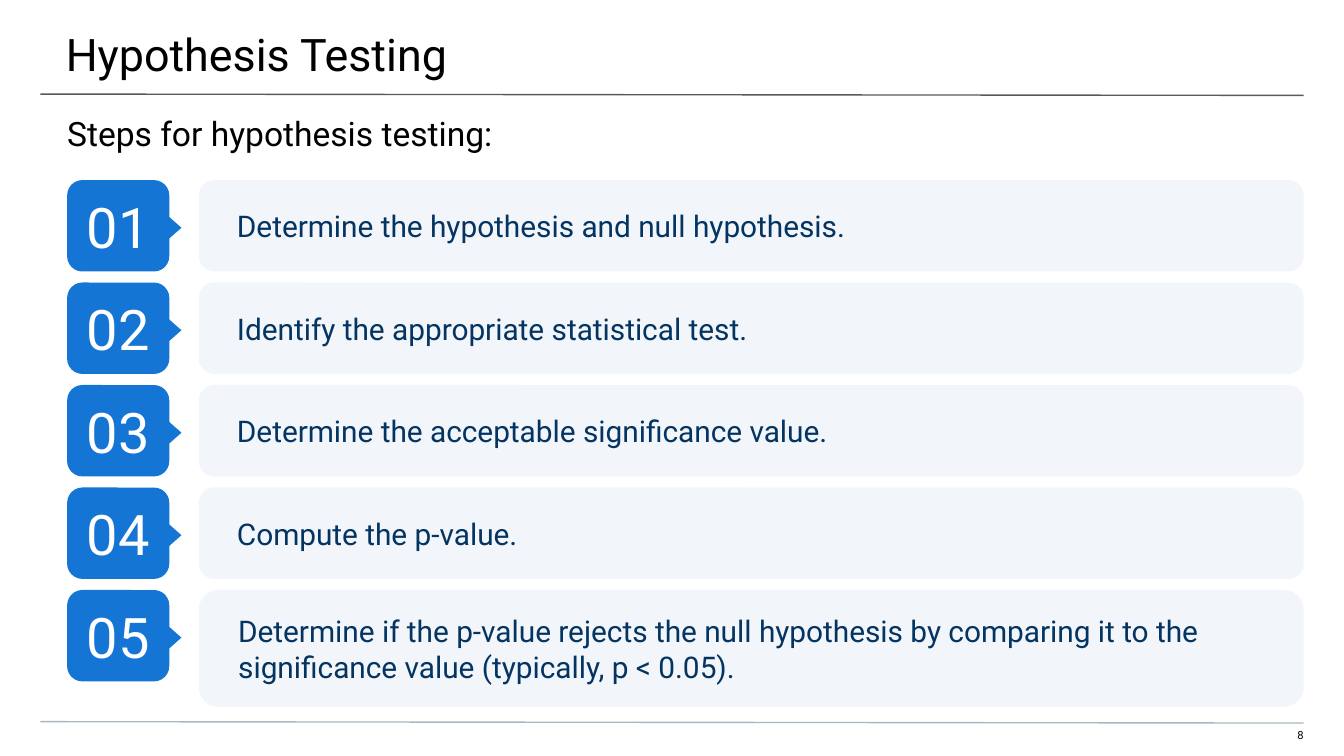
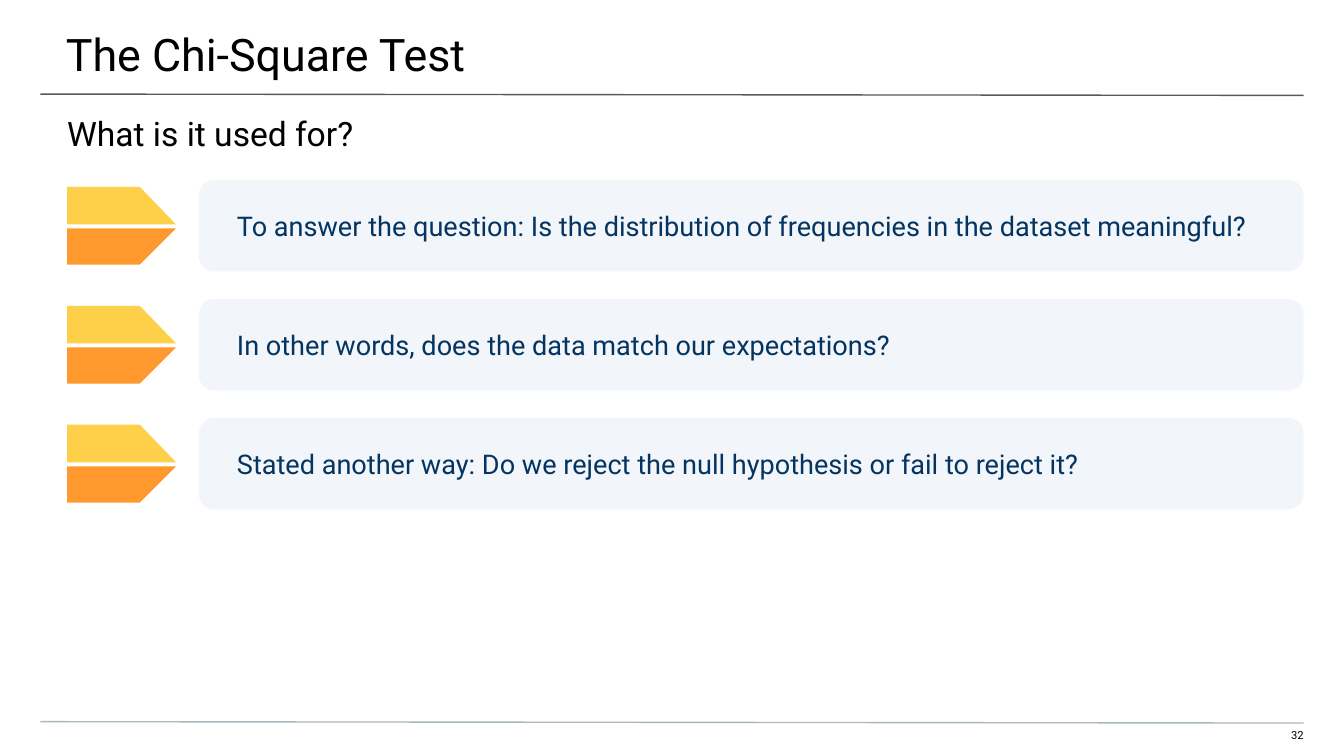
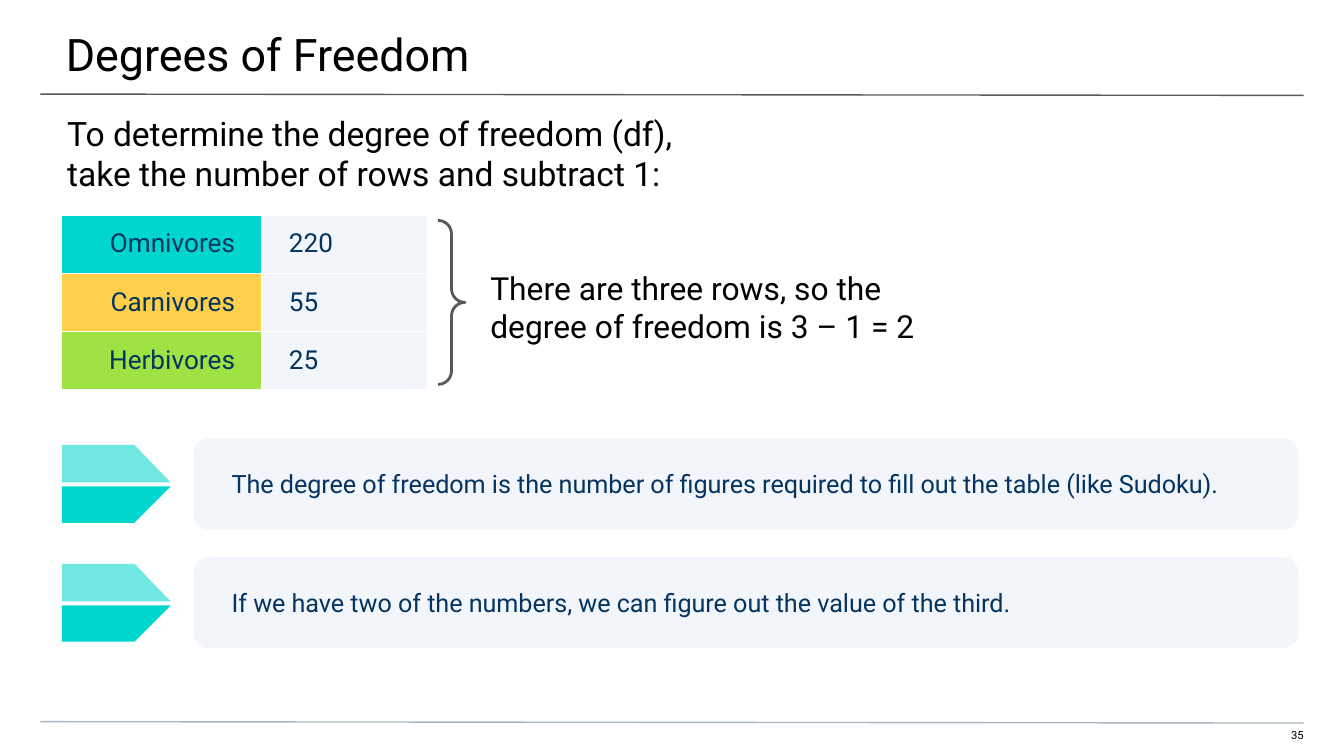
from dataclasses import dataclass

from lxml.etree import SubElement
from pptx import Presentation
from pptx.dml.color import RGBColor
from pptx.enum.shapes import MSO_CONNECTOR, MSO_SHAPE
from pptx.enum.text import MSO_ANCHOR, PP_ALIGN
from pptx.oxml.ns import qn
from pptx.util import Inches, Pt

FONT = "Roboto"
BLACK = RGBColor(0x00, 0x00, 0x00)
WHITE = RGBColor(0xFF, 0xFF, 0xFF)
GRAY = RGBColor(0x59, 0x59, 0x59)
FOOTER_GRAY = RGBColor(0xA9, 0xB7, 0xC0)
NAVY = RGBColor(0x04, 0x34, 0x61)
BLUE = RGBColor(0x14, 0x75, 0xD4)
PALE = RGBColor(0xF2, 0xF5, 0xF9)
YELLOW = RGBColor(0xFE, 0xCF, 0x48)
ORANGE = RGBColor(0xFF, 0x99, 0x2D)
TEAL = RGBColor(0x00, 0xD6, 0xCB)
GREEN = RGBColor(0x9E, 0xE2, 0x44)

SLIDE_WIDTH = Inches(10)
SLIDE_HEIGHT = SLIDE_WIDTH * 9 // 16
CARD_HEIGHT = 0.68
CARD_WIDTH = 8.22
CARD_OFFSET = 0.98
STEP_PITCH = 3.05 / 4
POINT_PITCH = 1.77 / 2
SIDES = ("left", "top", "right", "bottom")
EVEN_INSETS = (0.1, 0.1, 0.1, 0.1)
CARD_INSETS = (0.25, 0.1, 0.1, 0.1)
CELL_INSETS = (0.2, 0.1, 0.2, 0.1)


@dataclass(frozen=True)
class TextStyle:
    size: float
    color: RGBColor = BLACK
    align: PP_ALIGN = PP_ALIGN.LEFT
    insets: tuple = EVEN_INSETS
    anchor: MSO_ANCHOR = MSO_ANCHOR.TOP


@dataclass(frozen=True)
class Pointer:
    """Colours of the two halves of a pointer; upper_alpha is a percentage."""
    upper: RGBColor
    lower: RGBColor
    upper_alpha: int = 100


@dataclass(frozen=True)
class DietRow:
    diet: str
    count: int
    color: RGBColor


TITLE = TextStyle(24, insets=(0.5, 0.2, 0.3, 0.1))
SUBTITLE = TextStyle(18, insets=(0.5, 0.1, 0.5, 0))
PAGE_NUMBER = TextStyle(6, align=PP_ALIGN.RIGHT, insets=(0, 0, 0, 0.1))
STEP_NUMBER = TextStyle(30, WHITE, PP_ALIGN.CENTER, anchor=MSO_ANCHOR.MIDDLE)
CONCLUSION = TextStyle(17)

STEPS = [
    "Determine the hypothesis and null hypothesis.",
    "Identify the appropriate statistical test.",
    "Determine the acceptable significance value.",
    "Compute the p-value.",
    "Determine if the p-value rejects the null hypothesis by comparing it to the "
    "significance value (typically, p < 0.05).",
]
USES = [
    "To answer the question: Is the distribution of frequencies in the dataset meaningful?",
    "In other words, does the data match our expectations?",
    "Stated another way: Do we reject the null hypothesis or fail to reject it?",
]
FREEDOM_NOTES = [
    "The degree of freedom is the number of figures required to fill out the table (like Sudoku).",
    "If we have two of the numbers, we can figure out the value of the third.",
]
DIETS = [
    DietRow("Omnivores", 220, TEAL),
    DietRow("Carnivores", 55, YELLOW),
    DietRow("Herbivores", 25, GREEN),
]


def box(left: float, top: float, width: float, height: float) -> tuple:
    return Inches(left), Inches(top), Inches(width), Inches(height)


def card_style(size: float) -> TextStyle:
    return TextStyle(size, NAVY, insets=CARD_INSETS, anchor=MSO_ANCHOR.MIDDLE)


def set_margins(holder, insets: tuple) -> None:
    for side, inset in zip(SIDES, insets):
        setattr(holder, f"margin_{side}", Inches(inset))


def write(frame, text: str, style: TextStyle) -> None:
    frame.text = text
    for paragraph in frame.paragraphs:
        paragraph.alignment = style.align
        font = paragraph.font
        for name, value in {"name": FONT, "size": Pt(style.size)}.items():
            setattr(font, name, value)
        font.color.rgb = style.color


def write_in_shape(shape, text: str, style: TextStyle) -> None:
    frame = shape.text_frame
    frame.word_wrap = True
    frame.vertical_anchor = style.anchor
    set_margins(frame, style.insets)
    write(frame, text, style)


def add_text(slide, place: tuple, text: str, style: TextStyle) -> None:
    write_in_shape(slide.shapes.add_textbox(*box(*place)), text, style)


def paint(shape, color: RGBColor) -> None:
    shape.shadow.inherit = False
    shape.fill.solid()
    shape.fill.fore_color.rgb = color
    shape.line.fill.background()


def add_rule(slide, top: float, color: RGBColor) -> None:
    rule = slide.shapes.add_connector(
        MSO_CONNECTOR.STRAIGHT, Inches(0.3), Inches(top), Inches(9.7), Inches(top + 0.01))
    rule.line.color.rgb = color
    rule.line.width = Pt(0.75)
    SubElement(rule._element.spPr, qn("a:effectLst"))


def add_topic_slide(deck, title: str, subtitle: str, number: int):
    slide = deck.slides.add_slide(deck.slide_layouts[6])
    add_text(slide, (9.41, 5.42, 0.29, 0.12), str(number), PAGE_NUMBER)
    add_rule(slide, 0.7, GRAY)
    add_rule(slide, 5.37, FOOTER_GRAY)
    add_text(slide, (-0.01, 0, 10.03, 0.58), title, TITLE)
    add_text(slide, (0, 0.74, 10, 0.4), subtitle, SUBTITLE)
    return slide


def add_card(slide, left: float, top: float, text: str, size: float,
             height: float = CARD_HEIGHT) -> None:
    card = slide.shapes.add_shape(
        MSO_SHAPE.ROUNDED_RECTANGLE, *box(left, top, CARD_WIDTH, height))
    paint(card, PALE)
    write_in_shape(card, text, card_style(size))


def add_step_badge(slide, left: float, top: float, number: int) -> None:
    shapes = slide.shapes.add_group_shape().shapes
    badge = shapes.add_shape(
        MSO_SHAPE.ROUNDED_RECTANGLE, *box(left, top, 0.76, CARD_HEIGHT))
    paint(badge, BLUE)
    write_in_shape(badge, f"{number:02d}", STEP_NUMBER)
    tip = shapes.add_shape(
        MSO_SHAPE.FLOWCHART_EXTRACT, *box(left + 0.56, top + 0.25, 0.37, 0.21))
    tip.rotation = 90
    paint(tip, BLUE)


def add_half_pointer(slide, left: float, outer: float, inner: float,
                     color: RGBColor, alpha: int = 100) -> None:
    """Draw a half pointer whose tip lies on its inner edge."""
    outline = [(left, outer), (left, inner), (left + 0.81, inner), (left + 0.54, outer)]
    start, *corners = [(Inches(x), Inches(y)) for x, y in outline]
    builder = slide.shapes.build_freeform(*start)
    builder.add_line_segments(corners, close=True)
    half = builder.convert_to_shape()
    paint(half, color)
    if alpha < 100:
        tint = half._element.spPr.find(qn("a:solidFill"))[0]
        SubElement(tint, qn("a:alpha"), val=str(alpha * 1000))


def add_points(slide, left: float, top: float, points: list[str], size: float,
               pointer: Pointer) -> None:
    for index, point in enumerate(points):
        y = top + index * POINT_PITCH
        add_half_pointer(slide, left, y + 0.05, y + 0.33, pointer.upper, pointer.upper_alpha)
        add_half_pointer(slide, left, y + 0.63, y + 0.36, pointer.lower)
        add_card(slide, left + CARD_OFFSET, y, point, size)


def add_cell_borders(cell) -> None:
    properties = cell._tc.get_or_add_tcPr()
    for position, side in enumerate(("lnL", "lnR", "lnT", "lnB")):
        border = properties.makeelement(qn(f"a:{side}"), {"w": str(Pt(0.75))})
        fill = SubElement(border, qn("a:solidFill"))
        SubElement(fill, qn("a:srgbClr"), val=str(WHITE))
        properties.insert(position, border)


def add_diet_table(slide) -> None:
    row_height = 0.43
    table = slide.shapes.add_table(
        len(DIETS), 2, *box(0.46, 1.6, 2.72, row_height * len(DIETS))).table
    table.first_row = table.horz_banding = False
    for column, width in zip(table.columns, (1.49, 1.23)):
        column.width = Inches(width)
    for row, diet in enumerate(DIETS):
        table.rows[row].height = Inches(row_height)
        entries = [(diet.diet, diet.color, PP_ALIGN.RIGHT),
                   (str(diet.count), PALE, PP_ALIGN.LEFT)]
        for column, (text, color, align) in enumerate(entries):
            cell = table.cell(row, column)
            write(cell.text_frame, text, TextStyle(14, NAVY, align))
            set_margins(cell, CELL_INSETS)
            cell.fill.solid()
            cell.fill.fore_color.rgb = color
            add_cell_borders(cell)


def add_row_brace(slide) -> None:
    brace = slide.shapes.add_shape(MSO_SHAPE.RIGHT_BRACE, *box(3.26, 1.64, 0.2, 1.22))
    brace.shadow.inherit = False
    brace.adjustments[0] = 0.5
    brace.fill.background()
    brace.line.color.rgb = GRAY
    brace.line.width = Pt(1.5)


def add_hypothesis_slide(deck) -> None:
    slide = add_topic_slide(deck, "Hypothesis Testing", "Steps for hypothesis testing:", 8)
    for index, step in enumerate(STEPS):
        top = 1.34 + index * STEP_PITCH
        height = 0.87 if index == len(STEPS) - 1 else CARD_HEIGHT
        add_step_badge(slide, 0.5, top, index + 1)
        add_card(slide, 0.5 + CARD_OFFSET, top, step, 16, height)


def add_chi_square_slide(deck) -> None:
    slide = add_topic_slide(deck, "The Chi-Square Test", "What is it used for?", 32)
    add_points(slide, 0.5, 1.34, USES, 14.5, Pointer(YELLOW, ORANGE))


def add_freedom_slide(deck) -> None:
    slide = add_topic_slide(
        deck, "Degrees of Freedom",
        "To determine the degree of freedom (df),\vtake the number of rows and subtract 1:", 35)
    add_diet_table(slide)
    add_text(slide, (3.55, 1.9, 3.94, 1.06),
             "There are three rows, so the\ndegree of freedom is 3 – 1 = 2", CONCLUSION)
    add_row_brace(slide)
    add_points(slide, 0.46, 3.26, FREEDOM_NOTES, 13.5, Pointer(TEAL, TEAL, 56))


def main() -> None:
    deck = Presentation()
    deck.slide_width, deck.slide_height = SLIDE_WIDTH, SLIDE_HEIGHT
    add_hypothesis_slide(deck)
    add_chi_square_slide(deck)
    add_freedom_slide(deck)
    deck.save("out.pptx")


if __name__ == "__main__":
    main()
